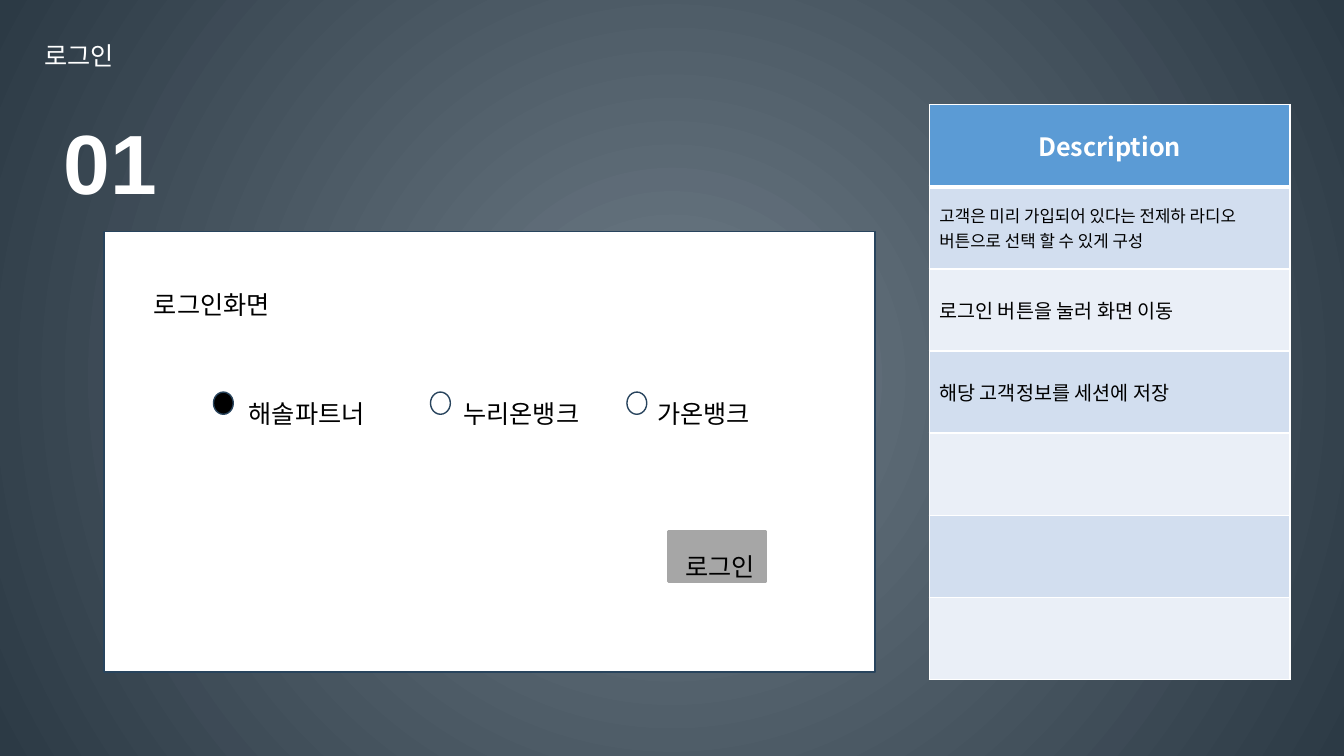
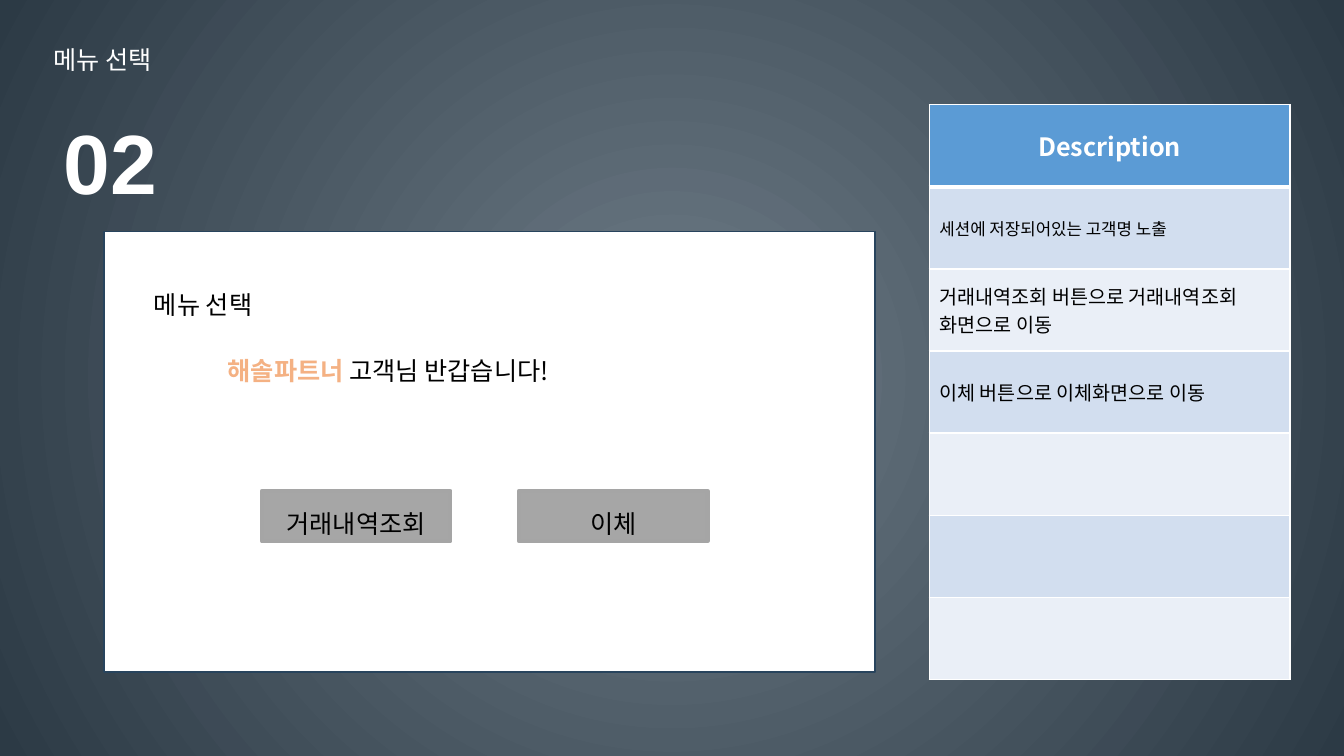
from dataclasses import dataclass

from lxml.etree import SubElement
from pptx import Presentation
from pptx.dml.color import RGBColor
from pptx.enum.shapes import MSO_SHAPE
from pptx.enum.text import MSO_ANCHOR, MSO_AUTO_SIZE, PP_ALIGN
from pptx.oxml import parse_xml
from pptx.oxml.ns import nsdecls, qn
from pptx.util import Cm, Pt


@dataclass(frozen=True)
class Theme:
    font: str = "Noto Sans CJK KR"
    number_font: str = "Arial"
    center: str = "6E7C87"
    edge: str = "2C3A45"
    white: str = "FFFFFF"
    black: str = "000000"
    outline: str = "28445D"
    button: str = "A6A6A6"
    button_line: str = "A5A5A5"
    accent: str = "F4B183"
    header: str = "5B9BD5"
    bands: tuple = ("D2DEEF", "EAEFF7")
    text: int = 18
    number: int = 60
    note: int = 14
    small_note: int = 12
    spacing: float = 1.5


T = Theme()
TABLE_ROWS = 7
CUSTOMER = "해솔파트너"


def rgb(color):
    return RGBColor.from_string(color)


def box(left, top, width, height):
    return tuple(Cm(v) for v in (left, top, width, height))


def write(tf, text, *, size=T.text, color=T.black, bold=False, font=T.font,
          align=PP_ALIGN.LEFT, anchor=MSO_ANCHOR.TOP, spacing=T.spacing,
          wrap=True, grow=True):
    """Fill a frame with one paragraph; text is a string or (text, color, bold) runs."""
    if grow:
        tf.word_wrap = wrap
        tf.auto_size = MSO_AUTO_SIZE.SHAPE_TO_FIT_TEXT
        tf.vertical_anchor = anchor
    p = tf.paragraphs[0]
    p.alignment = align
    p.line_spacing = spacing
    runs = [(text, color, bold)] if isinstance(text, str) else text
    for words, run_color, run_bold in runs:
        r = p.add_run()
        r.text = words
        r.font.size, r.font.bold, r.font.name = Pt(size), run_bold, font
        r.font.color.rgb = rgb(run_color)
        SubElement(r.font._element, qn("a:ea"), typeface=font)


def add_text(s, left, top, width, text, height=1.27, **fmt):
    tb = s.shapes.add_textbox(*box(left, top, width, height))
    write(tb.text_frame, text, **fmt)


def add_shape(s, kind, area, fill, line, weight=1):
    sp = s.shapes.add_shape(kind, *box(*area))
    sp.shadow.inherit = False
    sp.fill.solid()
    sp.fill.fore_color.rgb = rgb(fill)
    sp.line.color.rgb = rgb(line)
    sp.line.width = Pt(weight)
    return sp


def add_button(s, left, top, width, text, line=T.button_line, weight=3, **fmt):
    sp = add_shape(s, MSO_SHAPE.RECTANGLE, (left, top, width, 1.27), T.button, line, weight)
    write(sp.text_frame, text, **fmt)


def add_radio(s, left, label_left, text, selected=False):
    add_shape(s, MSO_SHAPE.OVAL, (left, 9.88, 0.5, 0.56),
              T.black if selected else T.white, T.outline)
    add_text(s, label_left, 9.53, 4, text)


def style_cell(cell, fill, top=1, bottom=1):
    cell.fill.solid()
    cell.fill.fore_color.rgb = rgb(fill)
    cell.vertical_anchor = MSO_ANCHOR.MIDDLE
    tc_pr = cell._tc.get_or_add_tcPr()
    for i, (side, weight) in enumerate((("L", 1), ("R", 1), ("T", top), ("B", bottom))):
        tc_pr.insert(i, parse_xml(
            f'<a:ln{side} {nsdecls("a")} w="{Pt(weight)}"><a:solidFill>'
            f'<a:srgbClr val="{T.white}"/></a:solidFill></a:ln{side}>'))


def add_description(s, notes):
    table = s.shapes.add_table(TABLE_ROWS, 1, *box(23.42, 2.64, 9.09, 14.48)).table
    header = table.cell(0, 0)
    style_cell(header, T.header, bottom=3)
    write(header.text_frame, "Description", color=T.white, bold=True,
          align=PP_ALIGN.CENTER, spacing=1.0, grow=False)
    for row in range(1, TABLE_ROWS):
        style_cell(table.cell(row, 0), T.bands[(row - 1) % 2], top=3 if row == 1 else 1)
    for row, note in enumerate(notes, start=1):
        write(table.cell(row, 0).text_frame, note, spacing=1.0, grow=False,
              size=T.small_note if row == 1 else T.note)


def set_background(master):
    """Give the master a gradient that runs out from the centre."""
    fill = master.background.fill
    fill.gradient()
    for stop, color in zip(fill.gradient_stops, (T.center, T.edge)):
        stop.color.rgb = rgb(color)
    lin = next(master.element.iter(qn("a:lin")))
    lin.getparent().replace(lin, parse_xml(
        f'<a:path {nsdecls("a")} path="circle">'
        '<a:fillToRect l="50000" t="50000" r="50000" b="50000"/></a:path>'))


def add_screen(prs, number, title, title_at, heading, notes):
    """Add a slide with title, number, white screen panel and description table."""
    s = prs.slides.add_slide(prs.slide_layouts[5])
    sp = s.shapes.title
    sp.left, sp.top, sp.width, sp.height = box(*title_at, 22.35, 1.27)
    write(sp.text_frame, title, color=T.white)
    add_text(s, 1.35, 1.4, 3, number, height=3.61, size=T.number, color=T.white,
             bold=True, font=T.number_font, wrap=False)
    add_description(s, notes)
    add_shape(s, MSO_SHAPE.RECTANGLE, (2.62, 5.84, 19.43, 11.1), T.white, T.outline)
    add_text(s, 3.63, 6.78, 18, heading)
    return s


def add_login(prs):
    s = add_screen(prs, "01", "로그인", (0.86, 0.51), "로그인화면", (
        "고객은 미리 가입되어 있다는 전제하 라디오 버튼으로 선택 할 수 있게 구성",
        "로그인 버튼을 눌러 화면 이동",
        "해당 고객정보를 세션에 저장"))
    add_radio(s, 5.38, 6.02, CUSTOMER, selected=True)
    add_radio(s, 10.85, 11.43, "누리온뱅크")
    add_radio(s, 15.8, 16.31, "가온뱅크")
    add_button(s, 16.84, 13.39, 2.44, "로그인", line=T.button, weight=2.25,
               align=PP_ALIGN.RIGHT)


def add_menu(prs):
    s = add_screen(prs, "02", "메뉴 선택", (1.09, 0.61), "메뉴 선택", (
        "세션에 저장되어있는 고객명 노출",
        "거래내역조회 버튼으로 거래내역조회 화면으로 이동",
        "이체 버튼으로 이체화면으로 이동"))
    add_text(s, 5.49, 8.46, 13.36, [(CUSTOMER, T.accent, True),
                                    (" 고객님 반갑습니다!", T.black, False)])
    for left, text in ((6.6, "거래내역조회"), (13.08, "이체")):
        add_button(s, left, 12.37, 4.75, text, align=PP_ALIGN.CENTER,
                   anchor=MSO_ANCHOR.MIDDLE)


def main():
    prs = Presentation()
    prs.slide_width, prs.slide_height = Cm(33.87), Cm(19.05)
    set_background(prs.slide_master)
    add_login(prs)
    add_menu(prs)
    prs.save("out.pptx")


if __name__ == "__main__":
    main()
